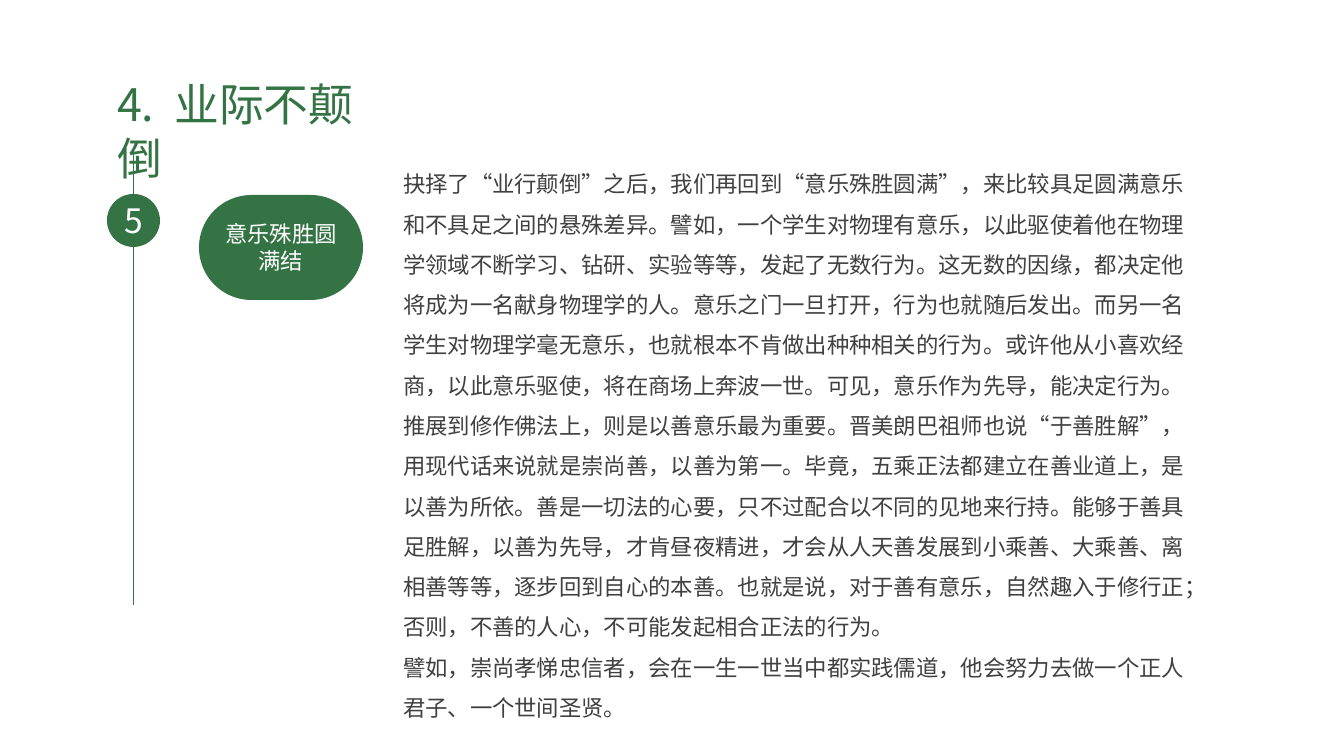
import pptx
import pptx.dml.color
import pptx.enum.shapes
import pptx.enum.text
import pptx.oxml.ns
import pptx.util
from lxml import etree

# Content
TITLE_NUMBER, TITLE_GAP, TITLE_WORDS = "4.", " ", "业际不颠倒"
STEP = "5"
TOPIC = "意乐殊胜圆满结"
BODY = [
    "抉择了“业行颠倒”之后，我们再回到“意乐殊胜圆满”，来比较具足圆满意乐和不具足之间的悬殊差异。"
    "譬如，一个学生对物理有意乐，以此驱使着他在物理学领域不断学习、钻研、实验等等，发起了无数行为。"
    "这无数的因缘，都决定他将成为一名献身物理学的人。意乐之门一旦打开，行为也就随后发出。"
    "而另一名学生对物理学毫无意乐，也就根本不肯做出种种相关的行为。"
    "或许他从小喜欢经商，以此意乐驱使，将在商场上奔波一世。可见，意乐作为先导，能决定行为。",
    "推展到修作佛法上，则是以善意乐最为重要。晋美朗巴祖师也说“于善胜解”，"
    "用现代话来说就是崇尚善，以善为第一。毕竟，五乘正法都建立在善业道上，是以善为所依。"
    "善是一切法的心要，只不过配合以不同的见地来行持。能够于善具足胜解，以善为先导，才肯昼夜精进，"
    "才会从人天善发展到小乘善、大乘善、离相善等等，逐步回到自心的本善。"
    "也就是说，对于善有意乐，自然趣入于修行正；否则，不善的人心，不可能发起相合正法的行为。",
    "譬如，崇尚孝悌忠信者，会在一生一世当中都实践儒道，他会努力去做一个正人君子、一个世间圣贤。",
]

COLORS = {"green": "347343", "white": "FFFFFF", "text": "404040"}
CJK, LATIN = "Noto Sans CJK SC", "Arial"
PX = 914400 / 100.8

# Layout in px: left, top, width, height
PAGE = (1344, 756)
TITLE_AREA = (107, 72, 294, 64)
BODY_AREA = (393, 152, 820, 580)
BADGE_AREA = (107, 194, 53, 53)
PILL_AREA = (199, 195, 164, 105)
TIMELINE_TOP, TIMELINE_BOTTOM = 152, 605

ALIGN = pptx.enum.text.PP_ALIGN
ANCHOR = pptx.enum.text.MSO_ANCHOR
SHAPES = pptx.enum.shapes.MSO_SHAPE


def emu(px):
    return pptx.util.Emu(round(px * PX))


def rgb(name):
    return pptx.dml.color.RGBColor.from_string(COLORS[name])


def place(box, area):
    box.left, box.top, box.width, box.height = map(emu, area)


def set_frame(box, anchor):
    frame = box.text_frame
    frame.auto_size = pptx.enum.text.MSO_AUTO_SIZE.NONE
    frame.word_wrap = True
    frame.vertical_anchor = anchor
    return frame


def style(para, size, font, color, align):
    para.alignment = align
    para.font.size = pptx.util.Pt(size)
    para.font.name = font
    para.font.color.rgb = rgb(color)


def add_label(page, kind, area, text, size, font):
    box = page.shapes.add_shape(kind, *map(emu, area))
    box.shadow.inherit = False
    box.fill.solid()
    box.fill.fore_color.rgb = rgb("green")
    box.line.fill.background()
    frame = set_frame(box, ANCHOR.MIDDLE)
    frame.text = text
    style(frame.paragraphs[0], size, font, "white", ALIGN.CENTER)
    return box


deck = pptx.Presentation()
deck.slide_width, deck.slide_height = map(emu, PAGE)
page = deck.slides.add_slide(deck.slide_layouts[1])

# Title, with a widened gap after the number
title = page.shapes.title
place(title, TITLE_AREA)
para = set_frame(title, ANCHOR.TOP).paragraphs[0]
style(para, 32, CJK, "green", ALIGN.LEFT)
for text in (TITLE_NUMBER, TITLE_GAP, TITLE_WORDS):
    span = para.add_run()
    span.text = text
    if text == TITLE_GAP:
        span._r.get_or_add_rPr().set("spc", "700")

# Body text without bullets
body = page.placeholders[1]
place(body, BODY_AREA)
frame = set_frame(body, ANCHOR.TOP)
frame.text = "\n".join(BODY)
for para in frame.paragraphs:
    props = para._p.get_or_add_pPr()
    props.set("marL", "0")
    props.set("indent", "0")
    etree.SubElement(props, pptx.oxml.ns.qn("a:buNone"))
    para.line_spacing = 1.5
    para.space_before = pptx.util.Pt(0)
    style(para, 16, LATIN, "text", ALIGN.LEFT)

# Timeline through the centre of the badge
center = BADGE_AREA[0] + BADGE_AREA[2] / 2
timeline = page.shapes.add_connector(
    pptx.enum.shapes.MSO_CONNECTOR.STRAIGHT,
    emu(center), emu(TIMELINE_TOP), emu(center), emu(TIMELINE_BOTTOM))
timeline.line.color.rgb = rgb("green")
timeline.line.width = pptx.util.Pt(0.5)
etree.SubElement(timeline._element.spPr, pptx.oxml.ns.qn("a:effectLst"))

# Step badge and topic pill
add_label(page, SHAPES.OVAL, BADGE_AREA, STEP, 24, CJK)
pill = add_label(page, SHAPES.ROUNDED_RECTANGLE, PILL_AREA, TOPIC, 16, LATIN)
pill.adjustments[0] = 0.5

deck.save("out.pptx")
